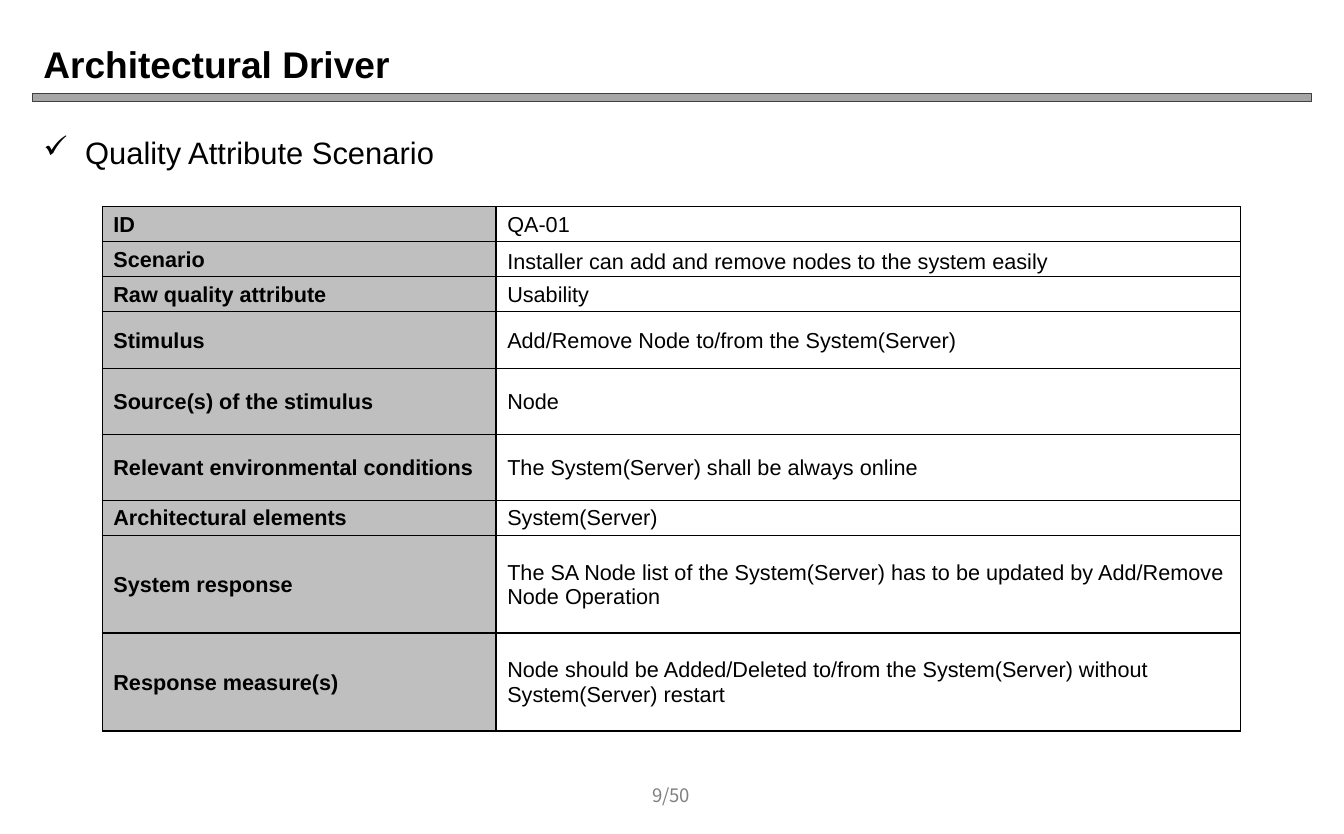
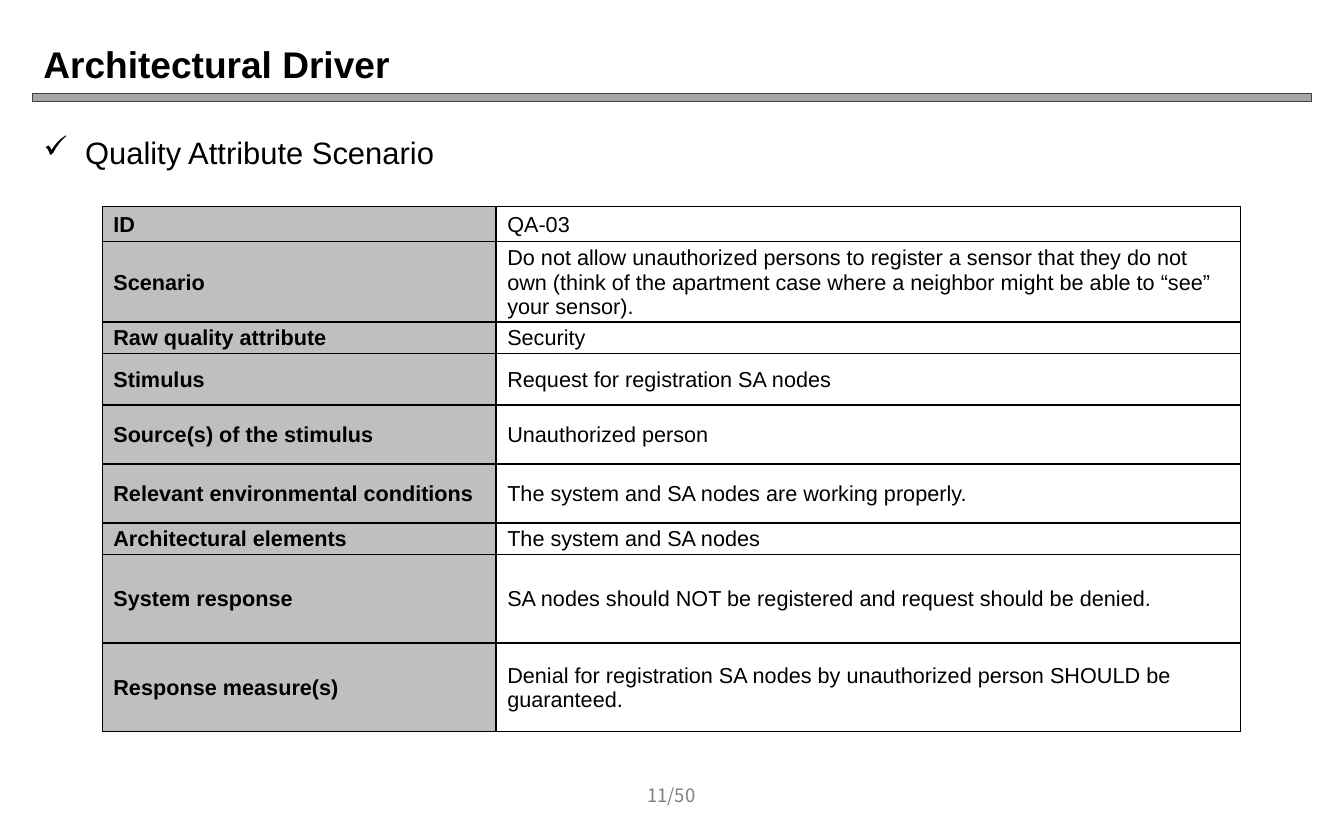
from lxml import etree
from pptx import Presentation
from pptx.dml.color import RGBColor
from pptx.enum import shapes, text
from pptx.oxml import ns
from pptx.util import Pt

BLACK = RGBColor(0x00, 0x00, 0x00)
WHITE = RGBColor(0xFF, 0xFF, 0xFF)
BAR = RGBColor(0xA6, 0xA6, 0xA6)
EDGE = RGBColor(0x40, 0x40, 0x40)
HEAD = RGBColor(0xBF, 0xBF, 0xBF)
GRAY = RGBColor(0x80, 0x80, 0x80)
SANS = "Arial"
NOTO = "Noto Sans CJK KR"
LEFT, WIDTH = 21, 828
LABELS = (
    "ID",
    "Scenario",
    "Raw quality attribute",
    "Stimulus",
    "Source(s) of the stimulus",
    "Relevant environmental conditions",
    "Architectural elements",
    "System response",
    "Response measure(s)",
)
COLS = (255, 482)
SLIDES = (
    (
        "9/50",
        (22.6, 22.6, 22.6, 36.9, 42.7, 42.7, 22.6, 63.4, 63.4),
        1.15,
        (
            "QA-01",
            "Installer can add and remove nodes to the system easily",
            "Usability",
            "Add/Remove Node to/from the System(Server)",
            "Node",
            "The System(Server) shall be always online",
            "System(Server)",
            "The SA Node list of the System(Server) has to be updated by "
            "Add/Remove Node Operation",
            "Node should be Added/Deleted to/from the System(Server) without "
            "System(Server) restart",
        ),
    ),
    (
        "11/50",
        (22.7, 52, 20.4, 33.3, 38.2, 38.2, 20.4, 57.3, 57.3),
        None,
        (
            "QA-03",
            "Do not allow unauthorized persons to register a sensor that they "
            "do not own (think of the apartment case where a neighbor might be "
            "able to “see” your sensor).",
            "Security",
            "Request for registration SA nodes",
            "Unauthorized person",
            "The system and SA nodes are working properly.",
            "The system and SA nodes",
            "SA nodes should NOT be registered and request should be denied.",
            "Denial for registration SA nodes by unauthorized person SHOULD be "
            "guaranteed.",
        ),
    ),
)


def add_node(parent, tag, **attrs):
    return etree.SubElement(parent, ns.qn(tag), **attrs)


def style(para, size, color=BLACK, bold=False, face=SANS):
    for run in para.runs:
        font = run.font
        font.name, font.size, font.bold = face, Pt(size), bold
        font.color.rgb = color


def add_text(slide, words, box, size, anchor=text.MSO_ANCHOR.MIDDLE, **look):
    frame = slide.shapes.add_textbox(*map(Pt, box)).text_frame
    frame.word_wrap = True
    frame.vertical_anchor = anchor
    frame.text = words
    para = frame.paragraphs[0]
    style(para, size, **look)
    return para


def add_bar(slide):
    bar = slide.shapes.add_shape(
        shapes.MSO_SHAPE.FLOWCHART_PROCESS, Pt(LEFT), Pt(60.5), Pt(WIDTH), Pt(5.5)
    )
    bar.shadow.inherit = False
    bar.fill.solid()
    bar.fill.fore_color.rgb = BAR
    bar.line.color.rgb = EDGE
    bar.line.width = Pt(0.75)


def add_point(slide, words):
    para = add_text(
        slide, words, (LEFT, 82.8, WIDTH, 36), 20, anchor=text.MSO_ANCHOR.TOP
    )
    props = para._p.get_or_add_pPr()
    props.set("marL", str(Pt(27)))
    props.set("indent", str(-Pt(27)))
    add_node(props, "a:buChar", char="✓")


def add_frame(slide, page):
    add_bar(slide)
    add_text(slide, "Architectural Driver", (LEFT, 21.6, WIDTH, 39), 24, bold=True)
    add_point(slide, "Quality Attribute Scenario")
    foot = add_text(slide, page, (395.3, 500.4, 78.5, 28.8), 12, color=GRAY, face=NOTO)
    foot.alignment = text.PP_ALIGN.CENTER


def add_edges(cell):
    props = cell._tc.get_or_add_tcPr()
    for side in ("a:lnL", "a:lnR", "a:lnT", "a:lnB"):
        line = add_node(props, side, w=str(Pt(1)))
        fill = add_node(line, "a:solidFill")
        add_node(fill, "a:srgbClr", val=str(BLACK))


def fill_cell(cell, words, label):
    add_edges(cell)
    cell.fill.solid()
    cell.fill.fore_color.rgb = HEAD if label else WHITE
    cell.vertical_anchor = text.MSO_ANCHOR.MIDDLE
    cell.margin_left = cell.margin_right = Pt(7.2)
    cell.margin_top, cell.margin_bottom = Pt(0.7), Pt(0)
    cell.text_frame.text = words
    style(cell.text_frame.paragraphs[0], 14, bold=label)


def add_grid(slide, values, rows):
    table = slide.shapes.add_table(
        len(rows), len(COLS), Pt(66.2), Pt(133.9), Pt(sum(COLS)), Pt(sum(rows))
    ).table
    table.first_row = table.horz_banding = False
    for col, width in zip(table.columns, COLS):
        col.width = Pt(width)
    for row, high, label, value in zip(table.rows, rows, LABELS, values):
        row.height = Pt(high)
        fill_cell(row.cells[0], label, True)
        fill_cell(row.cells[1], value, False)
    return table


def main():
    deck = Presentation()
    deck.slide_width, deck.slide_height = Pt(870), Pt(540)
    for page, rows, space, values in SLIDES:
        slide = deck.slides.add_slide(deck.slide_layouts[6])
        add_frame(slide, page)
        table = add_grid(slide, values, rows)
        if space:
            table.cell(1, 1).text_frame.paragraphs[0].line_spacing = space
    deck.save("out.pptx")


if __name__ == "__main__":
    main()
